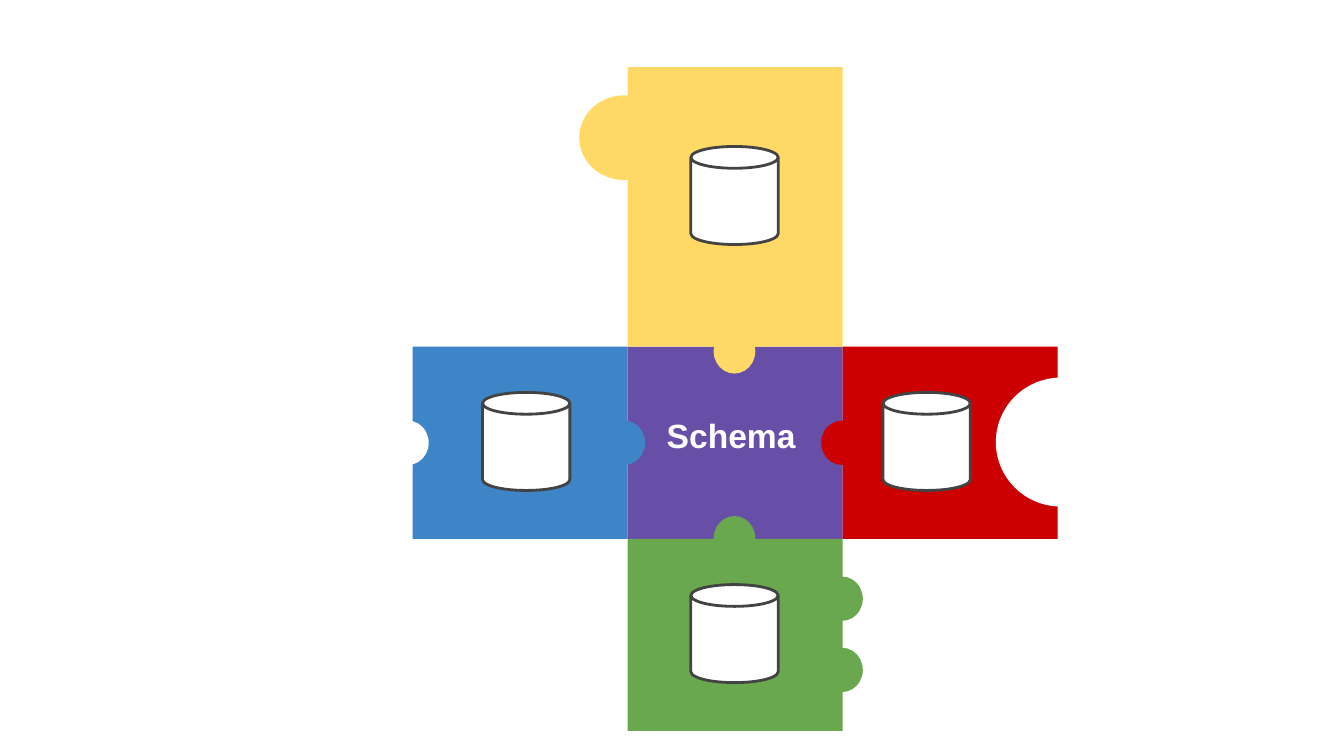
from pptx import Presentation
from pptx.dml.color import RGBColor
from pptx.enum.shapes import MSO_SHAPE
from pptx.enum.text import MSO_ANCHOR, PP_ALIGN
from pptx.util import Inches, Pt

WHITE = RGBColor(0xFF, 0xFF, 0xFF)
OUTLINE = RGBColor(0x43, 0x43, 0x43)
PURPLE = RGBColor(0x67, 0x4E, 0xA7)
RED = RGBColor(0xCC, 0x00, 0x00)
BLUE = RGBColor(0x3D, 0x85, 0xC6)
GREEN = RGBColor(0x6A, 0xA8, 0x4F)
YELLOW = RGBColor(0xFF, 0xD9, 0x66)

# Lengths in inches
PIECE_W, PIECE_H = 1.6, 1.43
TALL_H = 2.08
CENTER_X, CENTER_Y = 4.67, 2.58
KNOB = (0.31, 0.33)
BIG_KNOB = (0.67, 0.63)
BIG_SOCKET = (0.97, 0.96)
DATABASE = (0.65, 0.73)


def add_filled(shapes, kind, box, color, outline=None):
    shape = shapes.add_shape(kind, *(Inches(length) for length in box))
    shape.shadow.inherit = False
    shape.fill.solid()
    shape.fill.fore_color.rgb = color
    if outline is None:
        shape.line.fill.background()
    else:
        shape.line.color.rgb = outline
        shape.line.width = Pt(1.5)


def add_piece(slide, box, color, knobs, database, sockets=()):
    """Draw a puzzle piece; knobs, sockets and database are offsets from its corner."""
    left, top = box[:2]

    def within(offset, size):
        return (left + offset[0], top + offset[1], *size)

    piece = slide.shapes.add_group_shape().shapes
    add_filled(piece, MSO_SHAPE.RECTANGLE, box, color)
    for offset, size in knobs:
        add_filled(piece, MSO_SHAPE.OVAL, within(offset, size), color)
    for offset, size in sockets:
        add_filled(slide.shapes, MSO_SHAPE.OVAL, within(offset, size), WHITE)
    add_filled(slide.shapes, MSO_SHAPE.CAN, within(database, DATABASE), WHITE, OUTLINE)


def add_schema_label(slide, box):
    left, top = box[:2]
    label = slide.shapes.add_textbox(
        Inches(left + 0.18), Inches(top + 0.33), Inches(1.18), Inches(0.65))
    frame = label.text_frame
    frame_format = {"word_wrap": True, "vertical_anchor": MSO_ANCHOR.MIDDLE}
    for side in ("left", "right", "top", "bottom"):
        frame_format[f"margin_{side}"] = Inches(0.1)
    for name, value in frame_format.items():
        setattr(frame, name, value)
    paragraph = frame.paragraphs[0]
    paragraph.alignment = PP_ALIGN.CENTER
    run = paragraph.add_run()
    run.text = "Schema"
    for name, value in {"name": "Arial", "size": Pt(18), "bold": True}.items():
        setattr(run.font, name, value)
    run.font.color.rgb = WHITE


def add_puzzle(slide, left, top):
    """Draw the schema piece at the given corner and its four neighbours around it."""
    center = (left, top, PIECE_W, PIECE_H)
    add_filled(slide.shapes, MSO_SHAPE.RECTANGLE, center, PURPLE)
    add_piece(slide, (left + PIECE_W, top, PIECE_W, PIECE_H), RED,
              knobs=[((-0.16, 0.55), KNOB)], database=(0.3, 0.34),
              sockets=[((1.14, 0.23), BIG_SOCKET)])
    add_piece(slide, (left - PIECE_W, top, PIECE_W, PIECE_H), BLUE,
              knobs=[((1.42, 0.55), KNOB)], database=(0.52, 0.34),
              sockets=[((-0.19, 0.55), KNOB)])
    add_piece(slide, (left, top + PIECE_H, PIECE_W, PIECE_H), GREEN,
              knobs=[((0.64, -0.17), KNOB), ((1.44, 0.28), KNOB), ((1.44, 0.81), KNOB)],
              database=(0.47, 0.34))
    add_piece(slide, (left, top - TALL_H, PIECE_W, TALL_H), YELLOW,
              knobs=[((0.64, 1.95), KNOB), ((-0.36, 0.21), BIG_KNOB)],
              database=(0.47, 0.59))
    add_schema_label(slide, center)


def main():
    deck = Presentation()
    deck.slide_width = Inches(10)
    deck.slide_height = deck.slide_width * 9 // 16
    slide = deck.slides.add_slide(deck.slide_layouts.get_by_name("Blank"))
    add_puzzle(slide, CENTER_X, CENTER_Y)
    deck.save("out.pptx")


if __name__ == "__main__":
    main()
